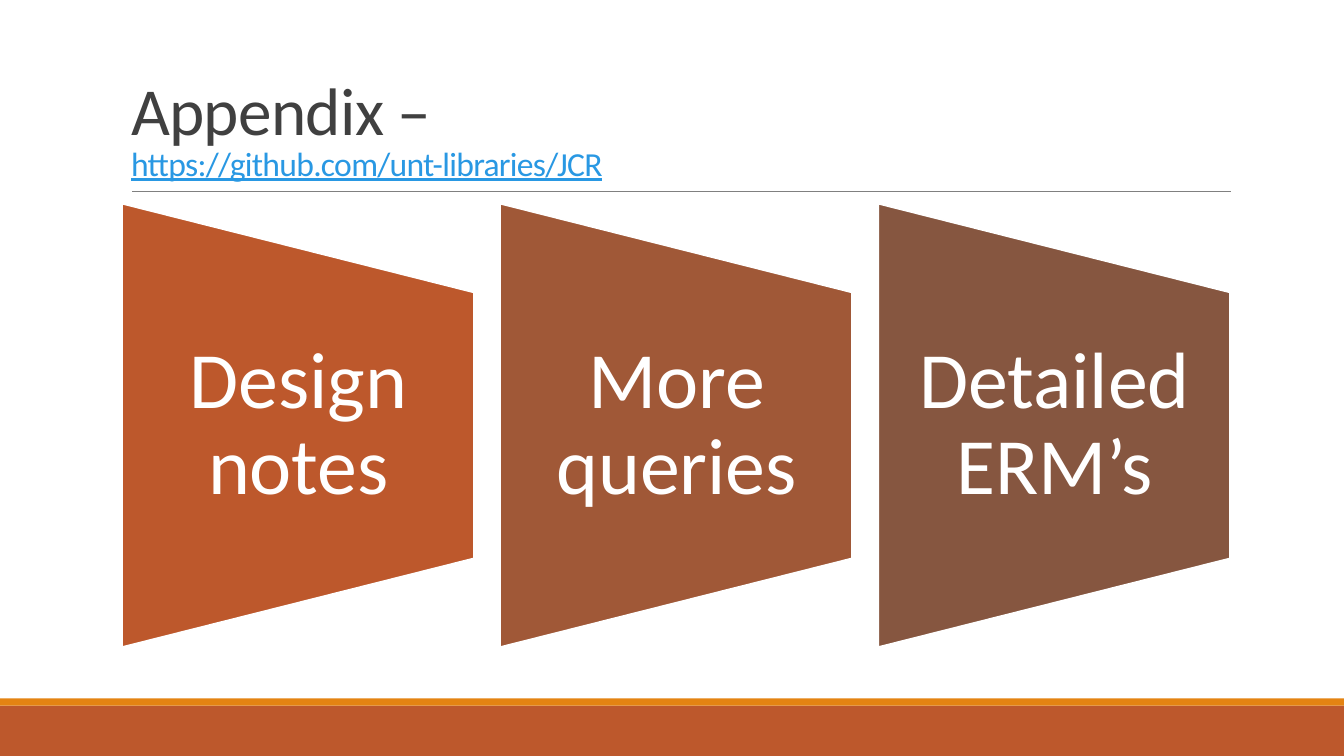
from dataclasses import dataclass

from pptx import Presentation
from pptx.dml.color import RGBColor
from pptx.enum.shapes import MSO_CONNECTOR, MSO_SHAPE
from pptx.enum.text import MSO_ANCHOR, MSO_AUTO_SIZE, PP_ALIGN
from pptx.oxml.xmlchemy import OxmlElement
from pptx.shapes.autoshape import Shape
from pptx.slide import Slide
from pptx.util import Inches, Pt


@dataclass(frozen=True)
class Theme:
    font: str = "Calibri"
    heading: str = "404040"
    address: str = "2998E3"
    rule: str = "808080"
    accent: str = "E48312"
    base: str = "BD582C"
    white: str = "FFFFFF"
    heading_size: int = 48
    address_size: int = 24
    topic_size: int = 57


@dataclass(frozen=True)
class Band:
    top: float
    height: float
    color: str


@dataclass(frozen=True)
class Topic:
    label: str
    color: str


THEME = Theme()
SLIDE_WIDTH, SLIDE_HEIGHT = 13.33, 7.5
BANDS = [Band(7, 0.5, THEME.base), Band(6.93, 0.07, THEME.accent)]
TOPICS = [
    Topic("Design notes", THEME.base),
    Topic("More queries", "A05837"),
    Topic("Detailed ERM’s", "865640"),
]
# Each panel is a flow-chart shape turned on its side
PANEL_LEFT, PANEL_PITCH = 1.21, 3.75
PANEL_WIDTH, PANEL_HEIGHT, PANEL_MIDDLE = 3.49, 4.4, 4.22
LABEL_HEIGHT = 2.64


def rgb(color: str) -> RGBColor:
    return RGBColor.from_string(color)


def add_filled(slide: Slide, kind: MSO_SHAPE, left: float, top: float,
               width: float, height: float, color: str) -> Shape:
    filled = slide.shapes.add_shape(
        kind, Inches(left), Inches(top), Inches(width), Inches(height))
    filled.shadow.inherit = False
    filled.fill.solid()
    filled.fill.fore_color.rgb = rgb(color)
    filled.line.fill.background()
    return filled


def add_title(slide: Slide) -> None:
    title = slide.shapes.title
    title.left, title.top = Inches(1.2), Inches(0.31)
    title.width, title.height = Inches(11), Inches(1.56)
    frame = title.text_frame
    frame.auto_size = MSO_AUTO_SIZE.NONE
    frame.vertical_anchor = MSO_ANCHOR.BOTTOM
    frame.text = "Appendix –\vhttps://github.com/unt-libraries/JCR"
    paragraph = frame.paragraphs[0]
    paragraph.alignment = PP_ALIGN.LEFT
    paragraph.line_spacing = 0.85
    heading, address = paragraph.runs
    for run, size, color in (
        (heading, THEME.heading_size, THEME.heading),
        (address, THEME.address_size, THEME.address),
    ):
        run.font.name = THEME.font
        run.font.size = Pt(size)
        run.font.color.rgb = rgb(color)
        run._r.get_or_add_rPr().set("spc", "-50")
    address.font.underline = True


def add_rule(slide: Slide) -> None:
    rule = slide.shapes.add_connector(
        MSO_CONNECTOR.STRAIGHT,
        Inches(1.31), Inches(1.9), Inches(12.21), Inches(1.9))
    rule.line.color.rgb = rgb(THEME.rule)
    rule.line.width = Pt(0.5)
    rule._element.spPr.append(OxmlElement("a:effectLst"))


def add_topic(slide: Slide, topic: Topic, left: float) -> None:
    panel = add_filled(
        slide, MSO_SHAPE.FLOWCHART_MANUAL_OPERATION,
        left + (PANEL_WIDTH - PANEL_HEIGHT) / 2, PANEL_MIDDLE - PANEL_WIDTH / 2,
        PANEL_HEIGHT, PANEL_WIDTH, topic.color)
    panel.rotation = 270
    panel.line.color.rgb = rgb(THEME.white)
    panel.line.width = Pt(1.25)

    label = slide.shapes.add_textbox(
        Inches(left), Inches(PANEL_MIDDLE - LABEL_HEIGHT / 2),
        Inches(PANEL_WIDTH), Inches(LABEL_HEIGHT))
    frame = label.text_frame
    frame.word_wrap = True
    frame.vertical_anchor = MSO_ANCHOR.MIDDLE
    frame.margin_left, frame.margin_right = Inches(0.4), Inches(0.39)
    frame.margin_top = frame.margin_bottom = 0
    frame.text = topic.label
    paragraph = frame.paragraphs[0]
    paragraph.alignment = PP_ALIGN.CENTER
    paragraph.line_spacing = 0.9
    font = paragraph.runs[0].font
    font.name = THEME.font
    font.size = Pt(THEME.topic_size)
    font.color.rgb = rgb(THEME.white)


def main() -> None:
    deck = Presentation()
    deck.slide_width, deck.slide_height = Inches(SLIDE_WIDTH), Inches(SLIDE_HEIGHT)
    slide = deck.slides.add_slide(deck.slide_layouts.get_by_name("Title Only"))

    # Footer bands
    for band in BANDS:
        add_filled(slide, MSO_SHAPE.RECTANGLE, 0, band.top,
                   SLIDE_WIDTH, band.height, band.color)

    # Heading with its rule
    add_rule(slide)
    add_title(slide)

    # Appendix topics
    for index, topic in enumerate(TOPICS):
        add_topic(slide, topic, PANEL_LEFT + index * PANEL_PITCH)

    deck.save("out.pptx")


if __name__ == "__main__":
    main()
